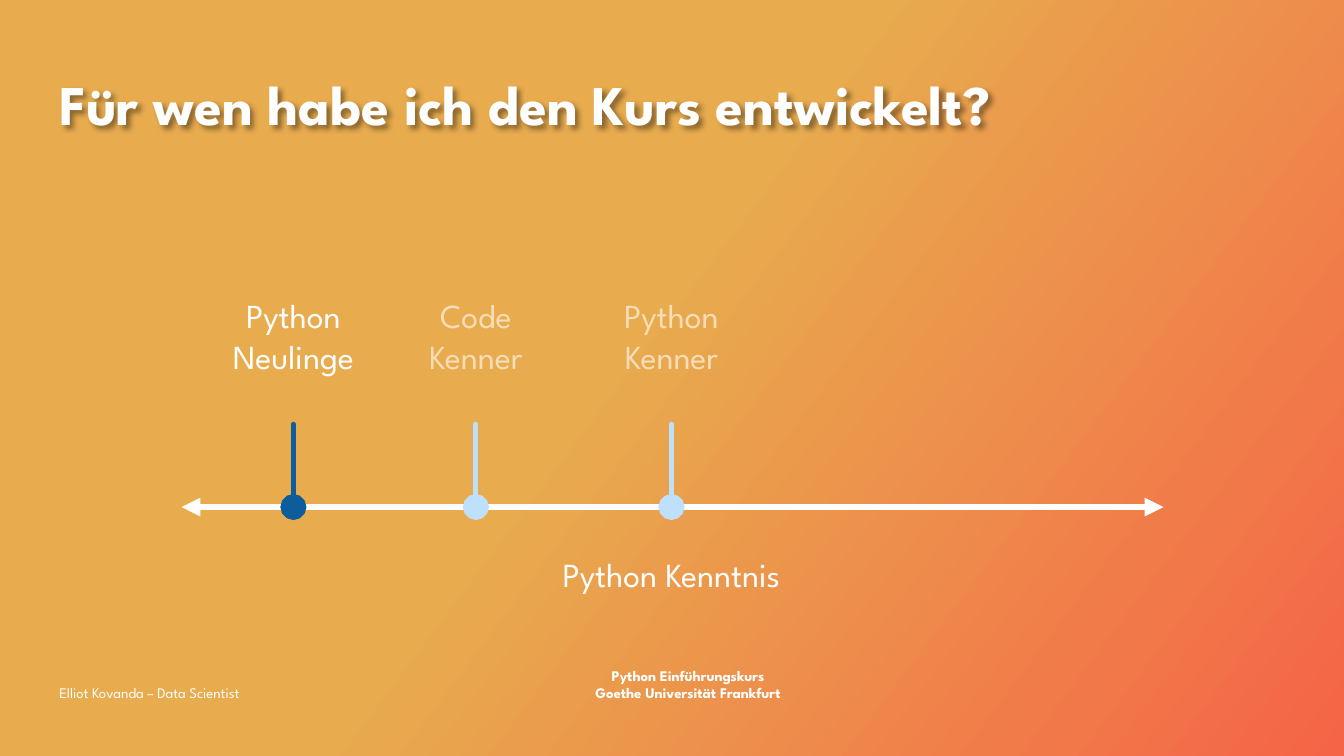
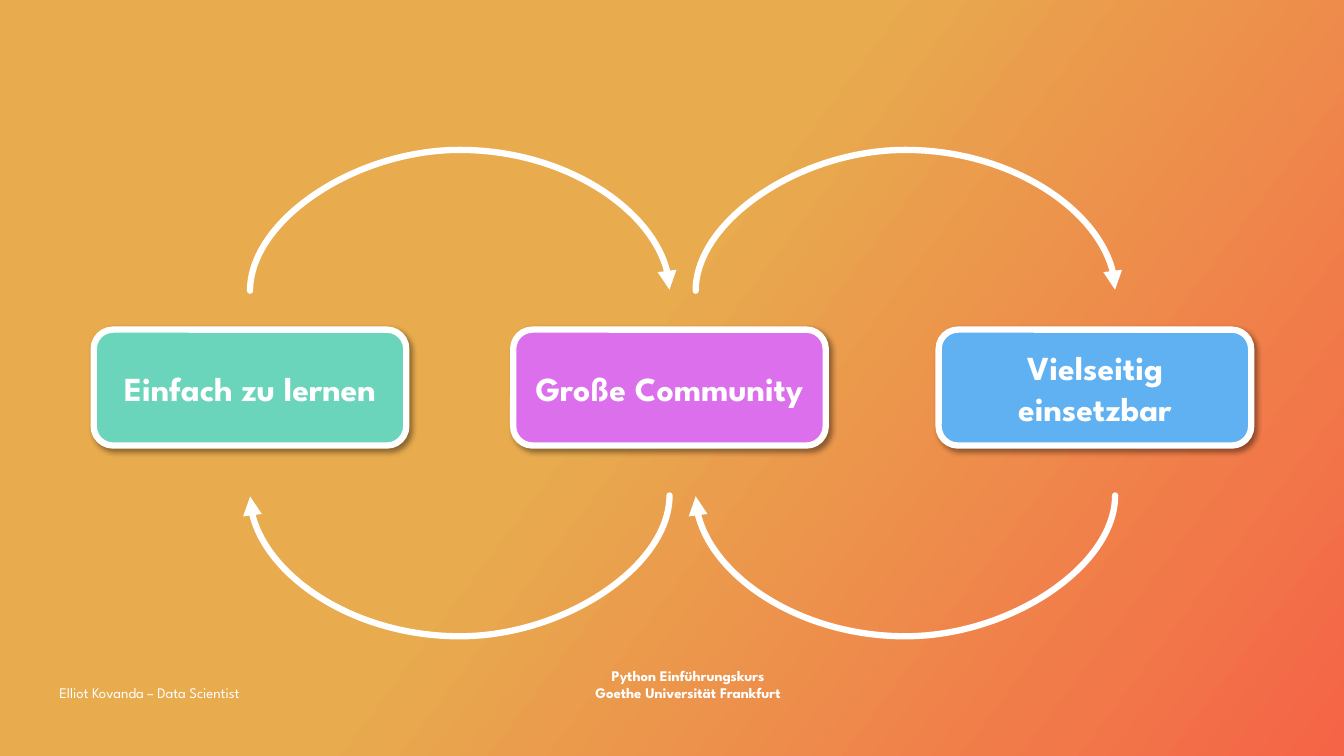
import copy

import pptx
import pptx.dml.color
import pptx.enum.shapes
import pptx.enum.text
import pptx.oxml
import pptx.oxml.ns
import pptx.util

Inches = pptx.util.Inches
Pt = pptx.util.Pt
shapes = pptx.enum.shapes
text = pptx.enum.text
qn = pptx.oxml.ns.qn
DRAW = pptx.oxml.ns.nsdecls("a")

FONT = "League Spartan"
WHITE, GOLD, RED = "FFFFFF", "E8AB4E", "F56447"
NAVY, SKY, CREAM = "0D5C9C", "BFE0FA", "F6DDB8"
SHADOW = (
    f'<a:outerShdw {DRAW} blurRad="50800" dist="38100" dir="2700000" algn="tl" '
    'rotWithShape="0"><a:srgbClr val="000000"><a:alpha val="40000"/></a:srgbClr>'
    "</a:outerShdw>"
)
color = pptx.dml.color.RGBColor.from_string


def put(shape, words, size, hue=WHITE, bold=False, align="CENTER", anchor="TOP", wrap=True):
    """Write words into a shape; a newline is a line break."""
    frame = shape.text_frame
    frame.word_wrap = wrap
    frame.vertical_anchor = getattr(text.MSO_ANCHOR, anchor)
    para = frame.paragraphs[0]
    para.text = words.replace("\n", "\v")
    para.alignment = getattr(text.PP_ALIGN, align)
    for run in para.runs:
        run.font.name = FONT
        run.font.size = Pt(size)
        run.font.bold = bold
        run.font.color.rgb = color(hue)


def link(slide, kind, start, end, hue, width, **ends):
    """Add a round-capped connector; ends maps headEnd and tailEnd to (type, size)."""
    line = slide.shapes.add_connector(kind, *map(Inches, start + end))
    line.line.color.rgb = color(hue)
    line.line.width = Pt(width)
    props = line.line._get_or_add_ln()
    props.set("cap", "rnd")
    for tag, (tip, size) in ends.items():
        props.append(pptx.oxml.parse_xml(
            f'<a:{tag} {DRAW} type="{tip}" w="{size}" len="{size}"/>'))
    line._element.spPr.append(pptx.oxml.parse_xml(f"<a:effectLst {DRAW}/>"))
    return line


deck = pptx.Presentation()
deck.slide_width = Inches(13.33)
deck.slide_height = Inches(7.5)

# Shared background
fill = deck.slide_master.background.fill
fill.gradient()
fill.gradient_angle = 360 - 37
stop = next(deck.slide_master._element.iter(qn("a:gs")))
stop.addnext(copy.deepcopy(stop))
for stop, (place, hue) in zip(fill.gradient_stops, [(0, GOLD), (0.46, GOLD), (1, RED)]):
    stop.position = place
    stop.color.rgb = color(hue)

# Slides with their shared footers
first = deck.slides.add_slide(deck.slide_layouts[5])
second = deck.slides.add_slide(deck.slide_layouts[6])
footers = [
    (5.6, "Python Einführungskurs\nGoethe Universität Frankfurt", True, "CENTER"),
    (0.49, "Elliot Kovanda – Data Scientist", False, "LEFT"),
]
for slide in (first, second):
    for left, words, bold, align in footers:
        box = slide.shapes.add_textbox(Inches(left), Inches(6.61), Inches(2.45), Inches(0.4))
        put(box, words, 10.5, bold=bold, align=align, anchor="BOTTOM")

# Audience scale
title = first.shapes.title
title.left, title.top = Inches(0.49), Inches(0.49)
title.width, title.height = Inches(11.56), Inches(1.06)
put(title, "Für wen habe ich den Kurs entwickelt?", 40, "FEFEFE", True, "LEFT", "MIDDLE")
title.text_frame.auto_size = text.MSO_AUTO_SIZE.NONE
title.shadow.inherit = False
title._element.spPr.find(qn("a:effectLst")).append(pptx.oxml.parse_xml(SHADOW))

straight = shapes.MSO_CONNECTOR.STRAIGHT
arrow = ("triangle", "med")
axis = 5.03
link(first, straight, (1.8, axis), (11.54, axis), WHITE, 4.5, headEnd=arrow, tailEnd=arrow)
box = first.shapes.add_textbox(Inches(5.28), Inches(5.45), Inches(2.76), Inches(0.5))
put(box, "Python Kenntnis", 24, wrap=False)

groups = [
    (2.91, "Python\nNeulinge", WHITE, NAVY),
    (4.72, "Code\nKenner", CREAM, SKY),
    (6.66, "Python\nKenner", CREAM, SKY),
]
for mid, words, hue, mark in groups:
    link(first, straight, (mid, 4.21), (mid, axis), mark, 3.75, tailEnd=("oval", "lg"))
    box = first.shapes.add_textbox(Inches(mid - 0.83), Inches(2.88), Inches(1.66), Inches(0.91))
    put(box, words, 24, hue, wrap=False)

# Cycle of benefits
cards = [
    (0.93, "Einfach zu lernen", "6AD5BB"),
    (5.09, "Große Community", "DC6FEC"),
    (9.31, "Vielseitig einsetzbar", "60B1F2"),
]
for left, words, hue in cards:
    card = second.shapes.add_shape(
        shapes.MSO_SHAPE.ROUNDED_RECTANGLE,
        Inches(left), Inches(3.27), Inches(3.1), Inches(1.15))
    card.fill.solid()
    card.fill.fore_color.rgb = color(hue)
    card.line.color.rgb = color(WHITE)
    card.line.width = Pt(4.5)
    card.shadow.inherit = False
    card._element.spPr.find(qn("a:effectLst")).append(pptx.oxml.parse_xml(SHADOW))
    put(card, words, 24, bold=True, anchor="MIDDLE")

# Each arc is a thin upright connector turned by 90 degrees
thin, half, bulge = 0.01, 2.08, 1.42
for mid in (4.56, 8.98):
    for level, way in ((2.88, 1), (4.92, -1)):
        dx, dy = way * thin / 2, way * half
        arc = link(second, shapes.MSO_CONNECTOR.CURVE, (mid + dx, level + dy),
                   (mid - dx, level - dy), WHITE, 4.5, tailEnd=arrow)
        props = arc._element.spPr
        props.find(qn("a:xfrm")).set("rot", "5400000")
        shape = props.find(qn("a:prstGeom"))
        shape.get_or_add_avLst().append(pptx.oxml.parse_xml(
            f'<a:gd {DRAW} name="adj1" fmla="val {round(bulge / thin * 100000)}"/>'))

deck.save("out.pptx")
